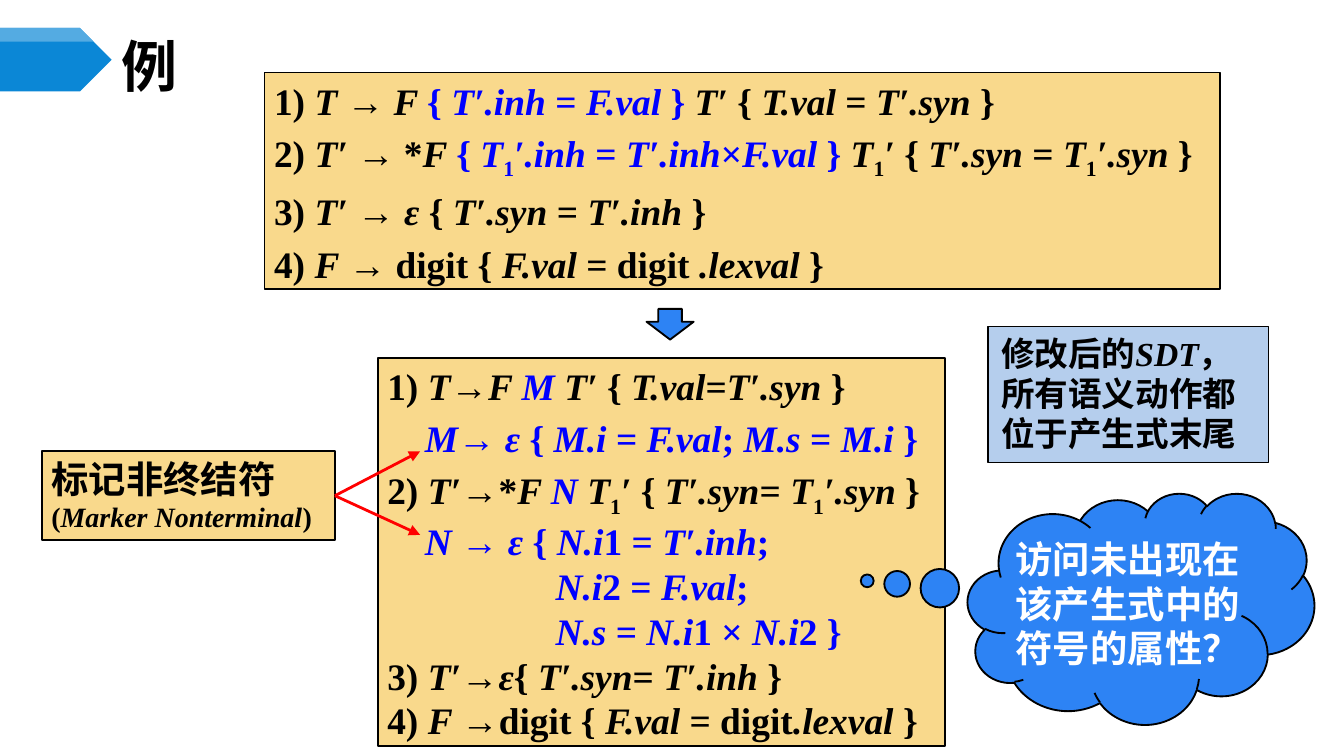
from lxml import etree
from pptx import Presentation
from pptx.dml.color import RGBColor
from pptx.enum.dml import MSO_THEME_COLOR
from pptx.enum.shapes import MSO_CONNECTOR, MSO_SHAPE
from pptx.enum.text import MSO_ANCHOR, PP_ALIGN
from pptx.oxml.ns import qn
from pptx.util import Cm, Pt

RECT, PENTAGON = MSO_SHAPE.RECTANGLE, MSO_SHAPE.PENTAGON
DOWN_ARROW, CLOUD = MSO_SHAPE.DOWN_ARROW, MSO_SHAPE.CLOUD_CALLOUT
LEFT, TOP, MIDDLE = PP_ALIGN.LEFT, MSO_ANCHOR.TOP, MSO_ANCHOR.MIDDLE
STRAIGHT = MSO_CONNECTOR.STRAIGHT
COLORS = {
    "black": "000000", "white": "FFFFFF", "action": "0000FF", "arrow": "FF0000",
    "grammar": "F9D98C", "note": "B5CEED", "callout": "2D83F4",
    "banner": "0B87D6", "banner_light": "54ABE2",
}
LATIN, CJK = "Times New Roman", "Noto Sans CJK SC"


def add_box(kind, x, y, w, h, fill, line=1, anchor=TOP, inset=(0.18, 0.1)):
    """Add a filled preset shape (cm) with an optional black outline (pt)."""
    sp = s.shapes.add_shape(kind, Cm(x), Cm(y), Cm(w), Cm(h))
    sp.shadow.inherit = False
    sp.fill.solid()
    sp.fill.fore_color.rgb = RGBColor.from_string(COLORS[fill])
    if line:
        sp.line.color.rgb = RGBColor.from_string(COLORS["black"])
        sp.line.width = Pt(line)
    else:
        sp.line.fill.background()
    tf = sp.text_frame
    tf.word_wrap = True
    tf.vertical_anchor = anchor
    tf.margin_left = tf.margin_right = Cm(inset[0])
    tf.margin_top = tf.margin_bottom = Cm(inset[1])
    tf.paragraphs[0].alignment = LEFT
    return sp


def add_runs(p, text, size=20, font=LATIN, color="black"):
    """Add marked-up text: _ toggles italic, | action colour, ^ subscript."""
    p.alignment = LEFT
    on = {"_": False, "|": False, "^": False}
    part = ""
    for ch in text + "\n":
        if ch not in on and ch != "\n":
            part += ch
            continue
        if part:
            r = p.add_run()
            r.text = part
            r.font.size, r.font.name, r.font.bold = Pt(size), font, True
            r.font.italic = on["_"]
            r.font.color.rgb = RGBColor.from_string(COLORS["action" if on["|"] else color])
            rPr = r.font._element
            etree.SubElement(rPr, qn("a:ea")).set("typeface", font)
            if on["^"]:
                rPr.set("baseline", "-25000")
            part = ""
        if ch in on:
            on[ch] = not on[ch]


prs = Presentation()
prs.slide_width, prs.slide_height = Cm(25.4), Cm(14.29)
s = prs.slides.add_slide(prs.slide_layouts[5])
s.background.fill.solid()
s.background.fill.fore_color.theme_color = MSO_THEME_COLOR.BACKGROUND_1

# Title with its banner
add_box(PENTAGON, 0, 0.53, 2.11, 1.2, "banner", line=0)
builder = s.shapes.build_freeform(0, Cm(0.53))
builder.add_line_segments([(Cm(1.51), Cm(0.53)), (Cm(1.77), Cm(0.79)), (0, Cm(0.79))])
band = builder.convert_to_shape()
band.shadow.inherit = False
band.fill.solid()
band.fill.fore_color.rgb = RGBColor.from_string(COLORS["banner_light"])
band.line.fill.background()

title = s.shapes.title
title.left, title.top, title.width, title.height = Cm(2.11), Cm(0.74), Cm(22.02), Cm(0.99)
tf = title.text_frame
tf.vertical_anchor = MIDDLE
tf.margin_left = tf.margin_right = Cm(0.18)
tf.margin_top = tf.margin_bottom = Cm(0.1)
add_runs(tf.paragraphs[0], "例", 30, CJK)

# Grammar before and after: (text, indent in cm, space before in pt)
before = [
    ("1) _T _→ _F _|{ _T′.inh _= _F.val_ } |_T′_ { _T.val _= _T′.syn_ }", 0, 4),
    ("2) _T′ _→ *_F _|{ _T_^1^_′.inh _= _T′.inh_×_F.val_ } |_T_^1^_′ _{ _T′.syn _= _T_^1^_′.syn_ }", 0, 4),
    ("3) _T′ _→ _ε _{ _T′.syn _= _T′.inh_ }", 0, 4),
    ("4) _F_ → digit { _F.val_ = digit_ .lexval_ }", 0, 4),
]
after = [
    ("1) _T_→_F |M |T′ _{ _T.val_=_T′.syn_ }", 0, 4),
    ("|_M_→ _ε _{ _M.i_ = _F.val_; _M.s _= _M.i _}", 0.71, 4),
    ("2) _T′_→*_F |N |T_^1^_′ _{ _T′.syn_= _T_^1^_′.syn_ }", 0, 4),
    ("|_N _→ _ε _{ _N.i_1 = _T′.inh_;", 0.71, 0),
    ("|_N.i_2 = _F.val_;", 3.18, 0),
    ("|_N.s _= _N.i_1 × _N.i_2 }", 3.18, 0),
    ("3) _T′_→_ε_{ _T′.syn_= _T′.inh_ }", 0, 0),
    ("4) _F _→digit { _F.val_ = digit_.lexval_ }", 0, 0),
]
for (x, y, w, h), rules in (((5, 1.37, 18.06, 4.09), before),
                            ((7.14, 6.76, 10.72, 7.34), after)):
    tf = add_box(RECT, x, y, w, h, "grammar").text_frame
    for i, (text, indent, space) in enumerate(rules):
        p = tf.paragraphs[0] if i == 0 else tf.add_paragraph()
        p.space_before = Pt(space)
        p._p.get_or_add_pPr().set("marL", str(Cm(indent)))
        add_runs(p, text)

down = add_box(DOWN_ARROW, 12.22, 5.84, 0.89, 0.58, "callout")
down.adjustments[1] = 0.58

# Marker label pointing at the two marker rules
marker = add_box(RECT, 0.79, 8.53, 5.54, 1.68, "grammar")
tf = marker.text_frame
tf.word_wrap = False
add_runs(tf.paragraphs[0], "标记非终结符", 20, CJK)
add_runs(tf.add_paragraph(), "(_Marker Nonterminal_)", 15)
for p, pitch in zip(tf.paragraphs, (24, 17)):
    p.line_spacing = Pt(pitch)

for y in (8.53, 10.11):
    c = s.shapes.add_connector(STRAIGHT, Cm(6.33), Cm(9.37), Cm(7.94), Cm(y))
    c.begin_connect(marker, 3)
    c.line.color.rgb = RGBColor.from_string(COLORS["arrow"])
    c.line.width = Pt(1.5)
    etree.SubElement(c.line._get_or_add_ln(), qn("a:tailEnd")).set("type", "triangle")
    etree.SubElement(c._element.spPr, qn("a:effectLst"))

# Remarks on the right
cloud = add_box(CLOUD, 18.29, 9.32, 6.55, 4.37, "callout", anchor=MIDDLE, inset=(0, 0))
cloud.adjustments[0], cloud.adjustments[1] = -0.79, -0.12
p = cloud.text_frame.paragraphs[0]
p.line_spacing = Pt(24)
add_runs(p, "访问未出现在该产生式中的符号的属性？", 20, CJK, "white")

note = add_box(RECT, 18.67, 6.17, 5.31, 2.57, "note", 0.75, inset=(0.25, 0.13))
p = note.text_frame.paragraphs[0]
p.line_spacing = Pt(21.5)
add_runs(p, "修改后的", 18, "Arial")
add_runs(p, "_SDT_", 18)
add_runs(p, "，所有语义动作都位于产生式末尾", 18, "Arial")

prs.save("out.pptx")
